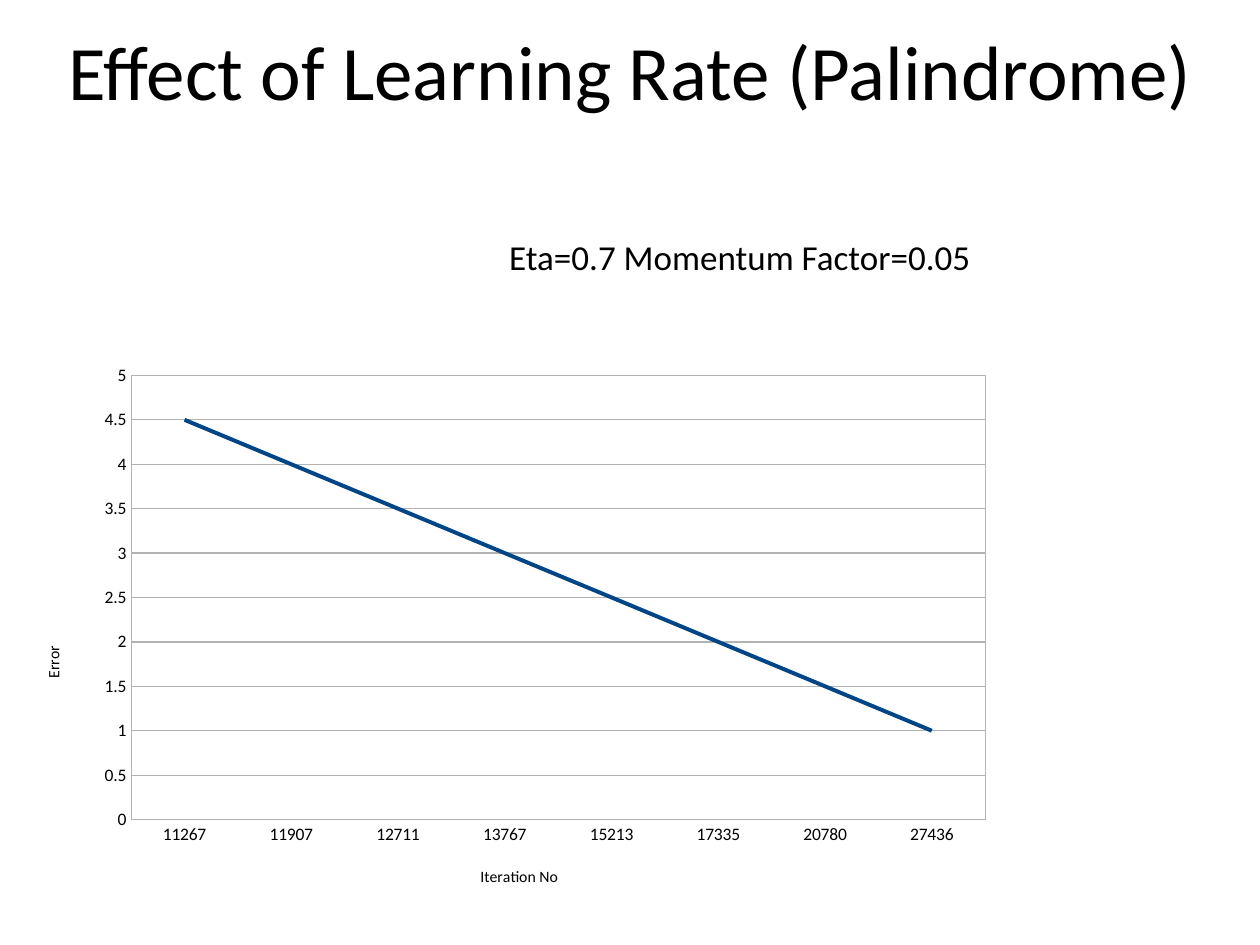
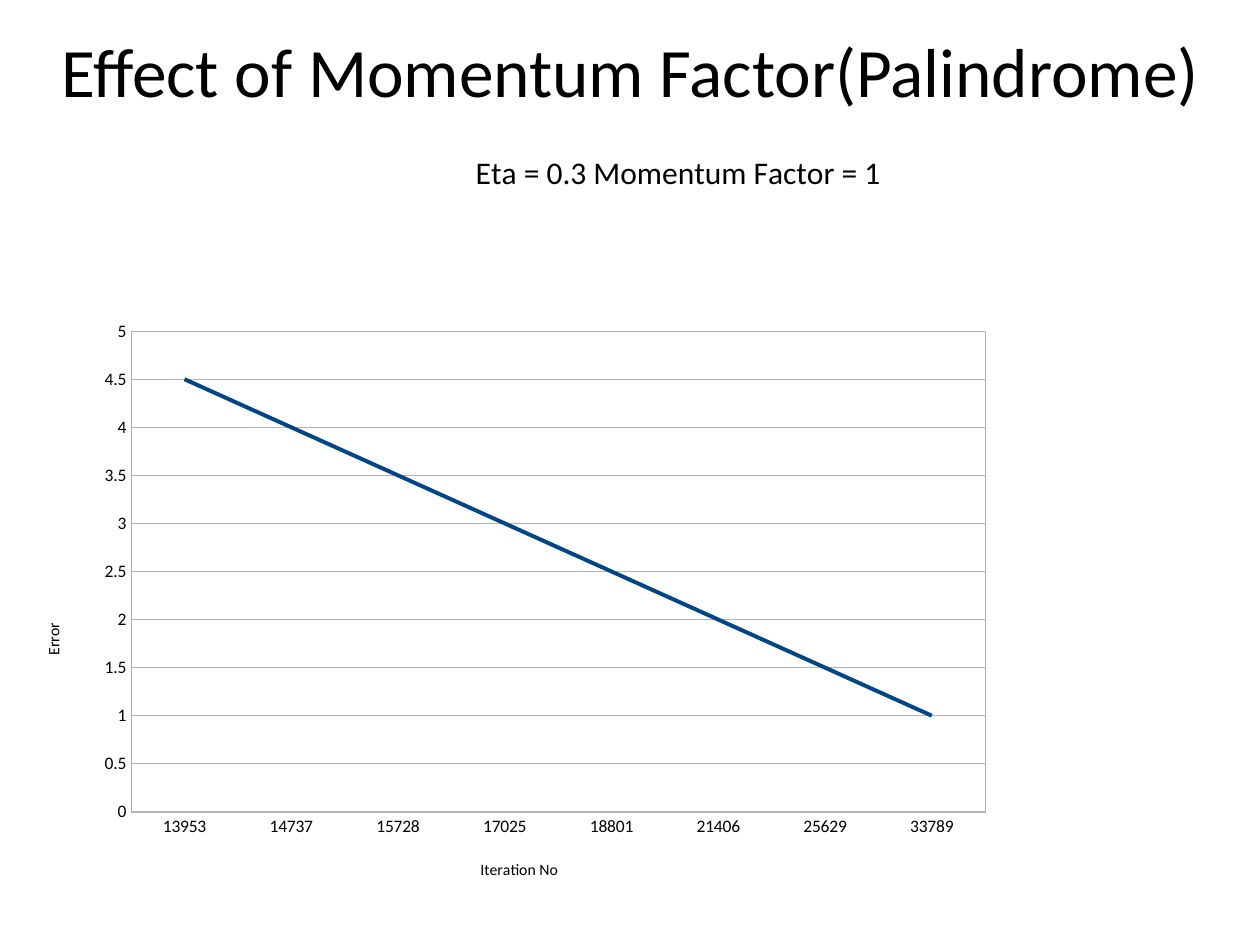
from lxml.etree import SubElement
from pptx import Presentation
from pptx.chart.data import CategoryChartData
from pptx.dml.color import RGBColor
from pptx.enum.chart import XL_CHART_TYPE, XL_MARKER_STYLE, XL_TICK_MARK
from pptx.enum.text import MSO_ANCHOR, MSO_AUTO_SIZE, PP_ALIGN
from pptx.oxml import parse_xml
from pptx.oxml.ns import nsdecls, qn
from pptx.util import Cm, Pt

ERRORS = [4.5, 4, 3.5, 3, 2.5, 2, 1.5, 1]
SLIDES = [
    {
        "title": "Effect of Learning Rate (Palindrome)",
        "title_size": 44,
        "caption": "Eta=0.7 Momentum Factor=0.05",
        "iterations": [11267, 11907, 12711, 13767, 15213, 17335, 20780, 27436],
        "chart_top": 3.33,
    },
    {
        "title": "Effect of Momentum Factor(Palindrome)",
        "title_size": 39.6,
        "chart_title": "Eta = 0.3 Momentum Factor = 1",
        "iterations": [13953, 14737, 15728, 17025, 18801, 21406, 25629, 33789],
        "chart_top": 2.13,
    },
]
COLORS = {"text": "000000", "series": "004586", "grid": "B3B3B3"}
FONT = "Calibri"
WIDTH, HEIGHT = 25.4, 19.05
TITLE_BOX = (0.03, 0.08, 25.37, 2.64)
CAPTION_BOX = (9.91, 4.62, 10.01, 1.12)
PLOT_LAYOUT = {"x": 0.083, "y": 0.257, "w": 0.699, "h": 0.614}
CHART_TITLE_LAYOUT = {"x": 0.373, "y": 0.047}
CATEGORY_TITLE_LAYOUT = {"x": 0.379, "y": 0.895}
VALUE_TITLE_LAYOUT = {"x": 0.032, "y": 0.613}


def set_attrs(target, values):
    for name, value in values.items():
        setattr(target, name, value)


def style_font(font, size):
    set_attrs(font, {"name": FONT, "size": Pt(size), "bold": False})
    font.color.rgb = RGBColor.from_string(COLORS["text"])


def style_line(line, color, width):
    line.color.rgb = RGBColor.from_string(COLORS[color])
    line.width = Pt(width)


def write(tf, text, size):
    p = tf.paragraphs[0]
    p.alignment = PP_ALIGN.CENTER
    r = p.add_run()
    r.text = text
    style_font(r.font, size)


def place(element, layout, index):
    for old in element.findall(qn("c:layout")):
        element.remove(old)
    node = parse_xml(f"<c:layout {nsdecls('c')}/>")
    manual = SubElement(node, qn("c:manualLayout"))
    for key in "xy":
        SubElement(manual, qn(f"c:{key}Mode")).set("val", "edge")
    for key, value in layout.items():
        SubElement(manual, qn(f"c:{key}")).set("val", str(value))
    element.insert(index, node)


def write_chart_title(title, text, size, layout):
    write(title.text_frame, text, size)
    place(title._element, layout, 1)


def style_axis(axis, text, layout):
    set_attrs(axis, {"major_tick_mark": XL_TICK_MARK.NONE,
                     "minor_tick_mark": XL_TICK_MARK.NONE})
    style_font(axis.tick_labels.font, 10)
    style_line(axis.format.line, "grid", 0.75)
    write_chart_title(axis.axis_title, text, 9, layout)


def frame_plot(plot_area):
    plot_area.append(parse_xml(
        f'<c:spPr {nsdecls("c", "a")}><a:noFill/><a:ln w="{Pt(0.75)}"><a:solidFill>'
        f'<a:srgbClr val="{COLORS["grid"]}"/></a:solidFill></a:ln></c:spPr>'))


def add_error_chart(s, content):
    data = CategoryChartData()
    data.categories = [str(n) for n in content["iterations"]]
    data.add_series("Series 1", ERRORS)
    top = content["chart_top"]
    chart = s.shapes.add_chart(XL_CHART_TYPE.LINE, Cm(0), Cm(top),
                               Cm(WIDTH), Cm(HEIGHT - top), data).chart
    style_font(chart.font, 10)
    chart.has_legend = False
    chart.has_title = "chart_title" in content
    if chart.has_title:
        write_chart_title(chart.chart_title, content["chart_title"], 18, CHART_TITLE_LAYOUT)

    style_axis(chart.category_axis, "Iteration No", CATEGORY_TITLE_LAYOUT)
    errors = chart.value_axis
    style_axis(errors, "Error", VALUE_TITLE_LAYOUT)
    set_attrs(errors, {"minimum_scale": 0, "maximum_scale": 5, "major_unit": 0.5,
                       "has_major_gridlines": True})
    style_line(errors.major_gridlines.format.line, "grid", 0.75)

    plot = chart.plots[0]
    plot.vary_by_categories = False
    series = plot.series[0]
    series.smooth = False
    series.marker.style = XL_MARKER_STYLE.NONE
    style_line(series.format.line, "series", 2.27)

    plot_area = chart._chartSpace.chart.plotArea
    place(plot_area, PLOT_LAYOUT, 0)
    frame_plot(plot_area)


def add_slide(prs, content):
    s = prs.slides.add_slide(prs.slide_layouts[5])
    title = s.shapes.title
    set_attrs(title, dict(zip(("left", "top", "width", "height"), map(Cm, TITLE_BOX))))
    set_attrs(title.text_frame, {"vertical_anchor": MSO_ANCHOR.MIDDLE, "word_wrap": True,
                                 "auto_size": MSO_AUTO_SIZE.NONE})
    write(title.text_frame, content["title"], content["title_size"])
    if "caption" in content:
        tf = s.shapes.add_textbox(*map(Cm, CAPTION_BOX)).text_frame
        set_attrs(tf, {"word_wrap": True, "auto_size": MSO_AUTO_SIZE.SHAPE_TO_FIT_TEXT})
        write(tf, content["caption"], 20)
    add_error_chart(s, content)


def main():
    prs = Presentation()
    set_attrs(prs, {"slide_width": Cm(WIDTH), "slide_height": Cm(HEIGHT)})
    for content in SLIDES:
        add_slide(prs, content)
    prs.save("out.pptx")


if __name__ == "__main__":
    main()
